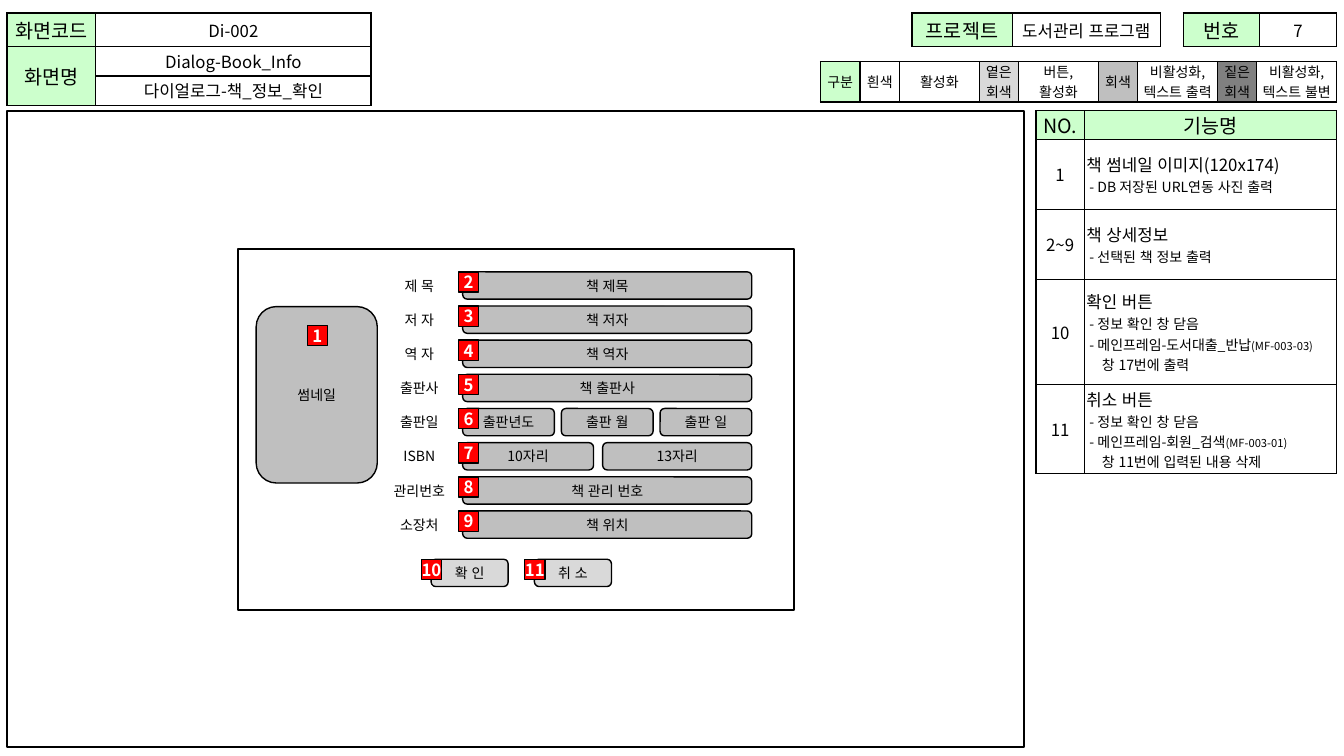
from dataclasses import dataclass

from lxml.etree import SubElement
from pptx import Presentation
from pptx.dml.color import RGBColor
from pptx.enum.lang import MSO_LANGUAGE_ID as Lang
from pptx.enum.shapes import MSO_SHAPE as Shape
from pptx.enum.text import MSO_ANCHOR as Anchor, PP_ALIGN as Align
from pptx.oxml.ns import qn
from pptx.util import Pt


@dataclass(frozen=True)
class Theme:
    font: str = "Noto Sans CJK KR"
    black: str = "000000"
    white: str = "FFFFFF"
    green: str = "CCFFCC"
    light: str = "D9D9D9"
    gray: str = "BFBFBF"
    dark: str = "808080"
    red: str = "FF0000"
    heading: int = 14
    body: int = 12
    detail: int = 10
    note: int = 8


theme = Theme()


def write(paragraph, text, size=theme.detail, color=theme.black, bold=False,
          align=Align.CENTER, indent=0):
    paragraph.alignment = align
    if indent:
        paragraph._p.get_or_add_pPr().set("marL", str(Pt(indent)))
    run = paragraph.add_run()
    run.text = text
    run.font.size = Pt(size)
    run.font.bold = bold
    run.font.name = theme.font
    run.font.language_id = Lang.KOREAN
    run.font.color.rgb = RGBColor.from_string(color)
    SubElement(run._r.get_or_add_rPr(), qn("a:ea")).set("typeface", theme.font)


def add_box(parent, kind, left, top, width, height, fill=None, text="",
            weight=1, pad=1.5, **style):
    box = parent.add_shape(kind, Pt(left), Pt(top), Pt(width), Pt(height))
    box.shadow.inherit = False
    if fill:
        box.fill.solid()
        box.fill.fore_color.rgb = RGBColor.from_string(fill)
        box.line.color.rgb = RGBColor.from_string(theme.black)
        box.line.width = Pt(weight)
    else:
        box.fill.background()
        box.line.fill.background()
    if text:
        frame = box.text_frame
        frame.word_wrap = True
        frame.vertical_anchor = Anchor.MIDDLE
        frame.margin_left = frame.margin_right = Pt(pad)
        frame.margin_top = frame.margin_bottom = 0
        write(frame.paragraphs[0], text, **style)


prs = Presentation()
prs.slide_width, prs.slide_height = Pt(960), Pt(540)
slide = prs.slides.add_slide(prs.slide_layouts[6])
shapes = slide.shapes

add_box(shapes, Shape.RECTANGLE, 5, 79, 726.5, 454.5, theme.white, weight=1.5)
add_box(shapes, Shape.RECTANGLE, 170, 178, 397.5, 258, theme.white, weight=1.5)

badge_size = 14.5
badge_style = dict(pad=0, size=theme.body, color=theme.white, bold=True)

add_box(shapes, Shape.ROUNDED_RECTANGLE, 183, 219, 86.5, 126, theme.gray, "썸네일")
add_box(shapes, Shape.RECTANGLE, 219.5, 232.5, badge_size, badge_size,
        theme.red, "1", **badge_style)

row_height, row_step = 19.5, 24.4
field_left, field_width = 330.5, 206.5
book_fields = [
    ("제 목", [("책 제목", field_width)]),
    ("저 자", [("책 저자", field_width)]),
    ("역 자", [("책 역자", field_width)]),
    ("출판사", [("책 출판사", field_width)]),
    ("출판일", [("출판년도", 65.5), ("출판 월", 65.5), ("출판 일", 65.5)]),
    ("ISBN", [("10자리", 93.5), ("13자리", 106.5)]),
    ("관리번호", [("책 관리 번호", field_width)]),
    ("소장처", [("책 위치", field_width)]),
]
for index, (label, fields) in enumerate(book_fields):
    top = 194.2 + index * row_step
    add_box(shapes, Shape.ROUNDED_RECTANGLE, 275, top, 49, row_height, text=label)
    gap = (field_width - sum(width for _, width in fields)) / max(len(fields) - 1, 1)
    left = field_left
    for field, width in fields:
        add_box(shapes, Shape.ROUNDED_RECTANGLE, left, top, width, row_height,
                theme.gray, field)
        left += width + gap
    add_box(shapes, Shape.RECTANGLE, 327.5, top, badge_size, badge_size,
            theme.red, str(index + 2), **badge_style)

buttons = shapes.add_group_shape().shapes
for index, caption in enumerate(["확 인", "취 소"]):
    left = 308 + index * 73.8
    add_box(buttons, Shape.ROUNDED_RECTANGLE, left, 399.5, 55, row_height,
            theme.light, caption)
    add_box(buttons, Shape.RECTANGLE, left - 7, 399.5, badge_size, badge_size,
            theme.red, str(index + 10), **badge_style)

functions = [
    ("1", "책 썸네일 이미지(120x174)", [(" - DB 저장된 URL연동 사진 출력", "", 0)]),
    ("2~9", "책 상세정보", [(" - 선택된 책 정보 출력", "", 0)]),
    ("10", "확인 버튼", [
        (" - 정보 확인 창 닫음", "", 0),
        (" - 메인프레임-도서대출_반납", "(MF-003-03)", 0),
        ("창 17번에 출력", "", 11)]),
    ("11", "취소 버튼", [
        (" - 정보 확인 창 닫음", "", 0),
        (" - 메인프레임-회원_검색", "(MF-003-01)", 0),
        ("창 11번에 입력된 내용 삭제", "", 11)]),
]

head = (theme.green, theme.heading)
plain = (theme.white, theme.body)
small = (theme.white, theme.detail)
tables = [
    (740, 79, [34.5, 180], [20] + [50] * 4, 0,
     [[("NO.", *head), ("기능명", *head)]]
     + [[(number, *plain), (title, *plain)] for number, title, _ in functions]),
    (5, 9.3, [63.5, 196.5], [24, 21, 21], 1.5,
     [[("화면코드", *head), ("Di-002", *plain)],
      [("화면명", *head), ("Dialog-Book_Info", *plain)],
      [("", *head), ("다이얼로그-책_정보_확인", *plain)]]),
    (651.5, 9.3, [71.5, 106], [24], 1.5,
     [[("프로젝트", *head), ("도서관리 프로그램", *plain)]]),
    (845.2, 9.3, [54.7, 54.7], [24], 1.5, [[("번호", *head), ("7", *plain)]]),
    (586, 44, [28.3] + [28.3, 56.8] * 4, [24], 0,
     [[("구분", theme.green, theme.detail),
       ("흰색", *small), ("활성화", *small),
       ("옅은\n회색", theme.light, theme.detail), ("버튼,\n활성화", *small),
       ("회색", theme.gray, theme.detail), ("비활성화,\n텍스트 출력", *small),
       ("짙은\n회색", theme.dark, theme.detail), ("비활성화,\n텍스트 불변", *small)]]),
]
grids = []
for left, top, widths, heights, pad, rows in tables:
    grid = shapes.add_table(len(heights), len(widths), Pt(left), Pt(top),
                            Pt(sum(widths)), Pt(sum(heights))).table
    grid.first_row = grid.horz_banding = False
    grids.append(grid)
    for column, width in zip(grid.columns, widths):
        column.width = Pt(width)
    for grid_row, height, row in zip(grid.rows, heights, rows):
        grid_row.height = Pt(height)
        for cell, (text, fill, size) in zip(grid_row.cells, row):
            cell.vertical_anchor = Anchor.MIDDLE
            cell.margin_left = cell.margin_right = Pt(1.5)
            cell.margin_top = cell.margin_bottom = Pt(pad)
            properties = cell._tc.get_or_add_tcPr()
            for side in ("a:lnL", "a:lnR", "a:lnT", "a:lnB"):
                border = SubElement(properties, qn(side), w=str(Pt(1)))
                paint = SubElement(border, qn("a:solidFill"))
                SubElement(paint, qn("a:srgbClr"), val=theme.black)
            cell.fill.solid()
            cell.fill.fore_color.rgb = RGBColor.from_string(fill)
            for number, line in enumerate(text.split("\n") if text else []):
                frame = cell.text_frame
                write(frame.add_paragraph() if number else frame.paragraphs[0],
                      line, size=size)

function_grid, screen_grid = grids[:2]
screen_grid.cell(1, 0).merge(screen_grid.cell(2, 0))
for index, (_, _, details) in enumerate(functions, 1):
    cell = function_grid.cell(index, 1)
    cell.margin_top = cell.margin_bottom = Pt(1.5)
    cell.text_frame.paragraphs[0].alignment = Align.LEFT
    for detail, screen_code, indent in details:
        paragraph = cell.text_frame.add_paragraph()
        write(paragraph, detail, align=Align.LEFT, indent=indent)
        if screen_code:
            write(paragraph, screen_code, size=theme.note, align=Align.LEFT)

prs.save("out.pptx")
